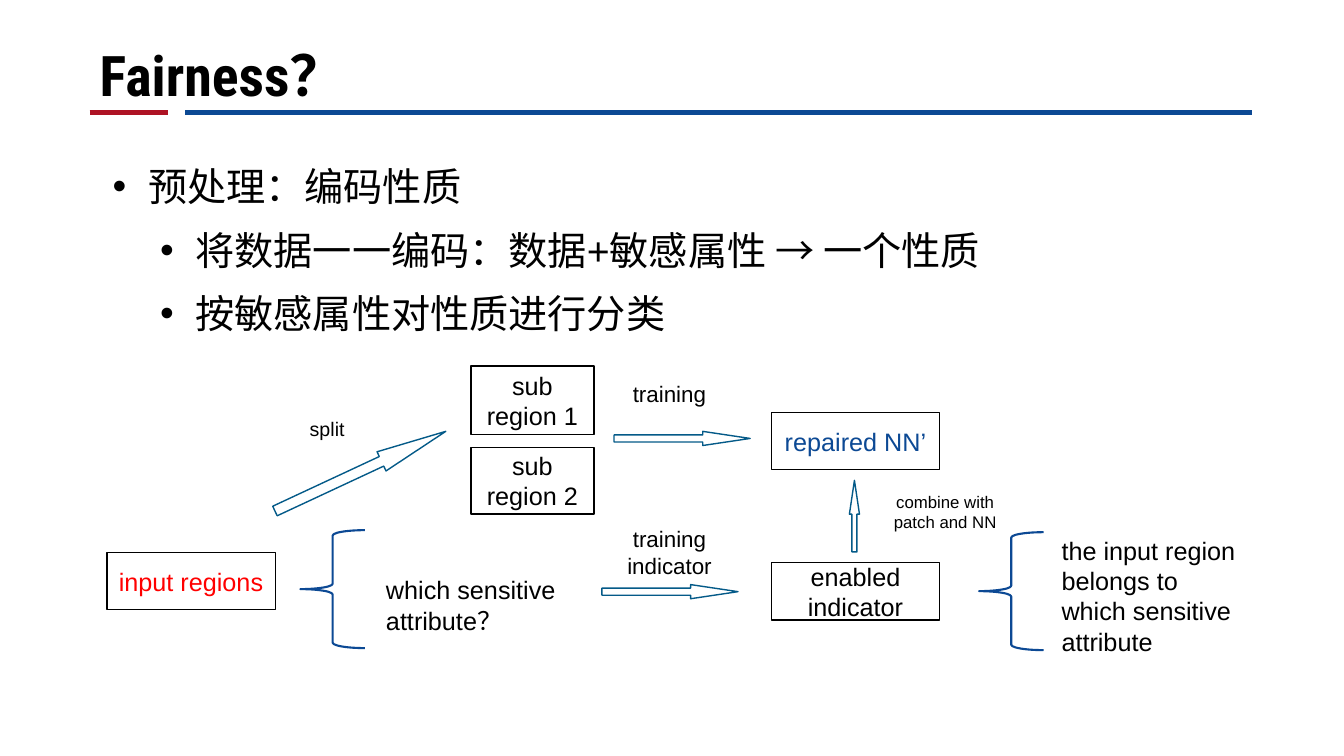
"""Build the fairness slide: a titled bullet list above a repair flow diagram."""
from lxml.etree import SubElement
from pptx import Presentation
from pptx.dml.color import RGBColor
from pptx.enum.shapes import MSO_CONNECTOR as Line, MSO_SHAPE as Shape
from pptx.enum.text import MSO_ANCHOR as Anchor, PP_ALIGN as Align
from pptx.oxml.ns import qn
from pptx.util import Inches, Pt

COLORS = {"black": "000000", "white": "FFFFFF", "red": "FF0000",
          "crimson": "AE1324", "blue": "0C4994", "teal": "045A88"}
COLORS = {name: RGBColor.from_string(value) for name, value in COLORS.items()}

deck = Presentation()
deck.slide_width, deck.slide_height = Inches(13.33), Inches(7.5)
page = deck.slides.add_slide(deck.slide_layouts[6])
column, row = deck.slide_width / 13.33, deck.slide_height / 7.5


def place(left, top, width, height):
    """Turn grid columns and rows into slide lengths."""
    return [int(left * column), int(top * row), int(width * column), int(height * row)]


def write(box, text, size, color="black", align=Align.LEFT, font="Arial", bold=False, **frame):
    """Fill a box with one paragraph per line of text."""
    for name, value in {"word_wrap": True, **frame}.items():
        setattr(box.text_frame, name, value)
    box.text_frame.text = text
    for para in box.text_frame.paragraphs:
        para.alignment = align
        for name, value in {"size": Pt(size), "name": font, "bold": bold}.items():
            setattr(para.font, name, value)
        para.font.color.rgb = COLORS[color]


for start, end, color in [(0.89, 1.67, "crimson"), (1.84, 12.42, "blue")]:
    left, top, right, bottom = place(start, 1.12, end, 1.12)
    rule = page.shapes.add_connector(Line.STRAIGHT, left, top, right, bottom)
    rule.line.color.rgb = COLORS[color]
    rule.line.width = Pt(3.5)
    SubElement(rule._element.spPr, qn("a:effectLst"))

title = page.shapes.add_textbox(*place(0.89, 0, 11.5, 1.12))
write(title, "Fairness？", 40, font="Roboto Condensed", bold=True, vertical_anchor=Anchor.BOTTOM)

body = page.shapes.add_textbox(*place(0.92, 1.12, 11.5, 5.54))
write(body, "预处理：编码性质\n将数据一一编码：数据+敏感属性 → 一个性质\n按敏感属性对性质进行分类", 28,
      margin_top=int(0.4 * row))
for para, level in zip(body.text_frame.paragraphs, [0, 1, 1]):
    para.level = level
    para.line_spacing = 1.2
    para.space_before = Pt(5 if level else 10)
    props = para._p.get_or_add_pPr()
    props.set("marL", str(int((0.45 + 0.47 * level) * column)))
    props.set("indent", str(int(-0.35 * column)))
    SubElement(props, qn("a:buFont"), typeface="Arial")
    SubElement(props, qn("a:buChar"), char="•")

steps = [
    ("input regions", "red", 1.06, 5.48, 1.67, 0.57),
    ("sub region 1", "black", 4.67, 3.63, 1.22, 0.68),
    ("sub\nregion 2", "black", 4.67, 4.44, 1.22, 0.66),
    ("enabled indicator", "black", 7.65, 5.58, 1.67, 0.57),
    ("repaired NN’", "blue", 7.65, 4.09, 1.67, 0.57),
]
for text, color, *area in steps:
    step = page.shapes.add_shape(Shape.FLOWCHART_PROCESS, *place(*area))
    step.shadow.inherit = False
    step.fill.solid()
    step.fill.fore_color.rgb = COLORS["white"]
    step.line.color.rgb = COLORS["black"]
    step.line.width = Pt(1)
    write(step, text, 18, color, Align.CENTER, vertical_anchor=Anchor.MIDDLE)

arrows = [
    (335, 2.64, 4.57, 1.87, 0.21),
    (0, 6.09, 4.28, 1.35, 0.14),
    (0, 5.97, 5.8, 1.35, 0.14),
    (270, 8.12, 5.07, 0.71, 0.1),
]
for angle, *area in arrows:
    arrow = page.shapes.add_shape(Shape.RIGHT_ARROW, *place(*area))
    arrow.shadow.inherit = False
    arrow.adjustments[0], arrow.adjustments[1] = 0.5, 3.353
    arrow.rotation = angle
    arrow.fill.solid()
    arrow.fill.fore_color.rgb = COLORS["white"]
    arrow.line.color.rgb = COLORS["teal"]
    arrow.line.width = Pt(1)

for left, top in [(2.98, 5.26), (9.71, 5.28)]:
    brace = page.shapes.add_shape(Shape.LEFT_BRACE, *place(left, top, 0.64, 1.17))
    brace.shadow.inherit = False
    brace.fill.background()
    brace.line.color.rgb = COLORS["blue"]
    brace.line.width = Pt(1.5)

labels = [
    ("split", 14, 2.76, 4.09, 0.97, 0.34),
    ("training", 16, 6.03, 3.72, 1.22, 0.51),
    ("training indicator", 16, 6.03, 5.16, 1.22, 0.51),
    ("combine with patch and NN", 12, 8.64, 4.83, 1.47, 0.51),
]
for text, size, *area in labels:
    write(page.shapes.add_textbox(*place(*area)), text, size, align=Align.CENTER)

notes = [
    ("which sensitive attribute？", Anchor.BOTTOM, 3.73, 5.34, 1.92, 1.01),
    ("the input region\nbelongs to which sensitive attribute", Anchor.TOP, 10.43, 5.26, 1.92, 1.31),
]
for text, anchor, *area in notes:
    write(page.shapes.add_textbox(*place(*area)), text, 18, vertical_anchor=anchor)

deck.save("out.pptx")
